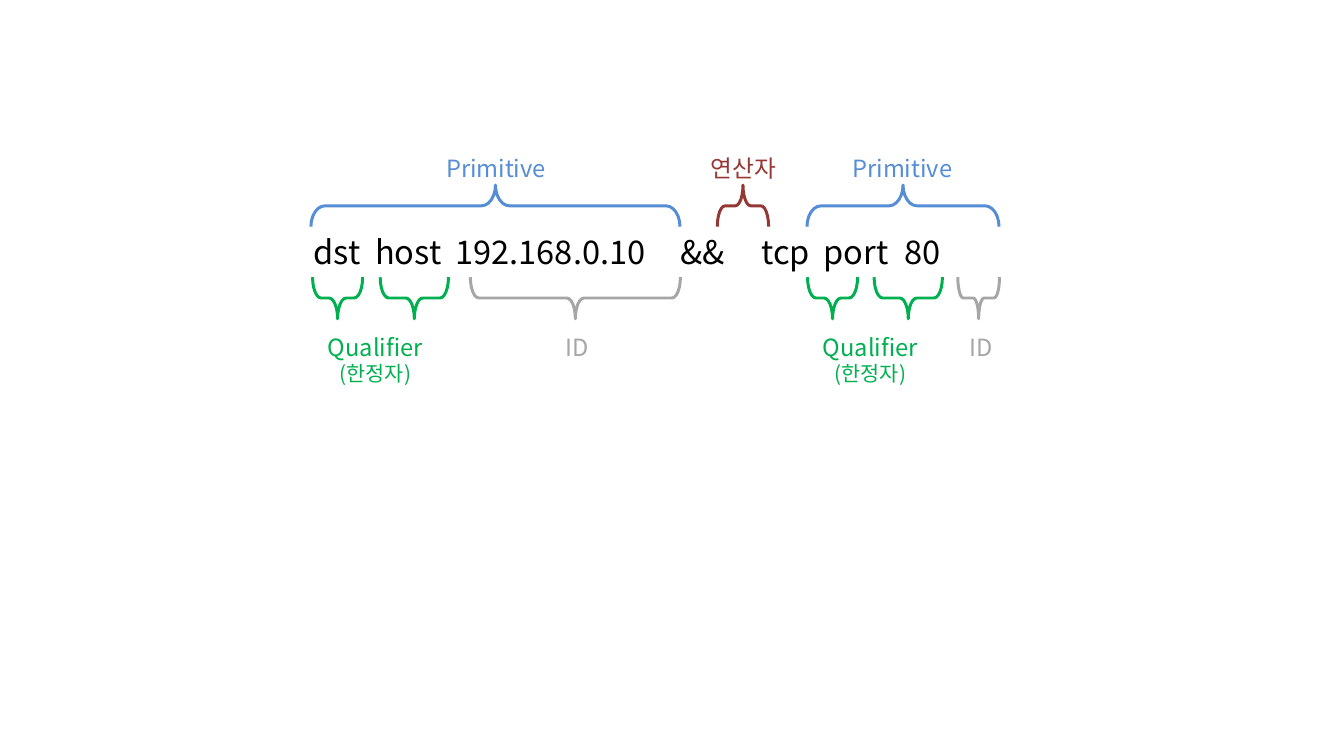
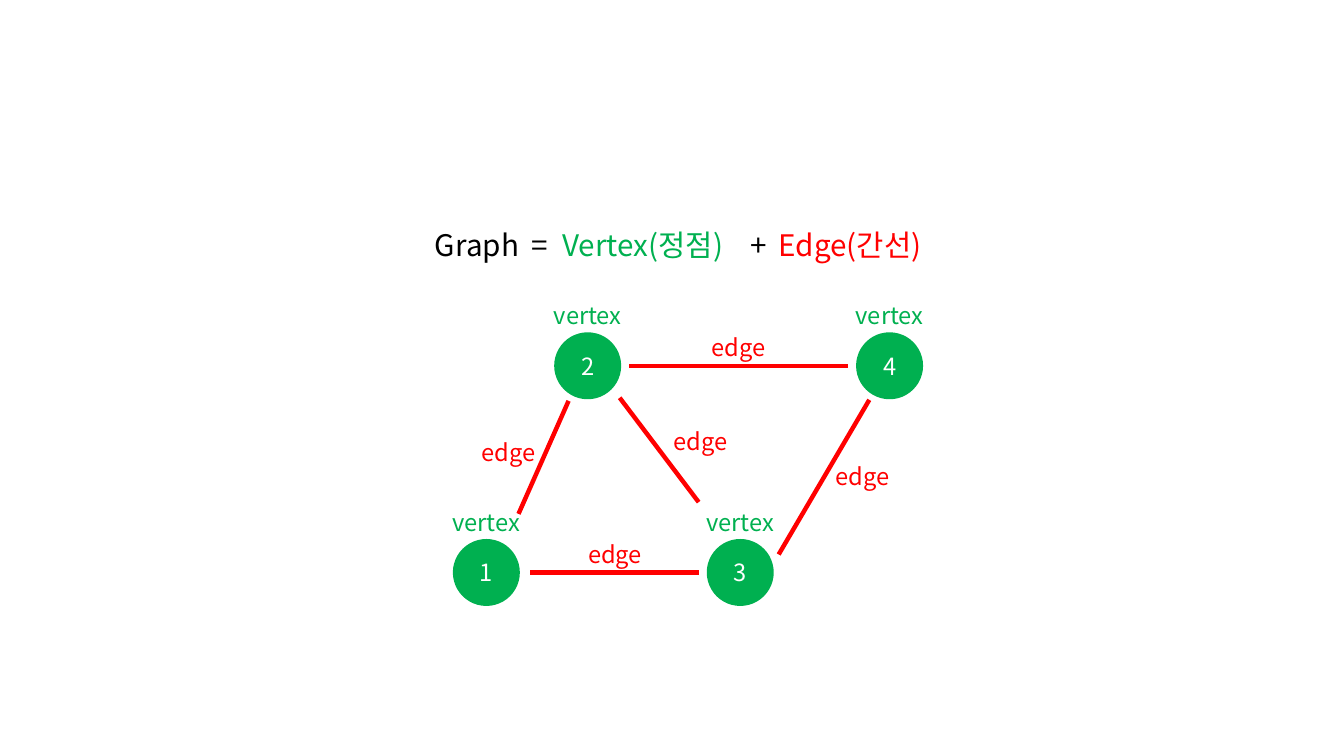
"""Draws a packet filter expression and a graph of vertices and edges."""
from typing import NamedTuple

from lxml import etree
from pptx import Presentation
from pptx.dml.color import RGBColor
from pptx.enum.shapes import MSO_CONNECTOR, MSO_SHAPE
from pptx.enum.text import MSO_ANCHOR, MSO_AUTO_SIZE, PP_ALIGN
from pptx.oxml.ns import qn
from pptx.util import Pt

LEFT_BRACE, ELLIPSE = MSO_SHAPE.LEFT_BRACE, MSO_SHAPE.OVAL
STRAIGHT = MSO_CONNECTOR.STRAIGHT
CENTER, LEFT = PP_ALIGN.CENTER, PP_ALIGN.LEFT
MIDDLE = MSO_ANCHOR.MIDDLE
GROW = MSO_AUTO_SIZE.SHAPE_TO_FIT_TEXT

BLACK = RGBColor(0x00, 0x00, 0x00)
WHITE = RGBColor(0xFF, 0xFF, 0xFF)
BLUE = RGBColor(0x55, 0x8E, 0xD5)
MAROON = RGBColor(0x95, 0x37, 0x35)
GREEN = RGBColor(0x00, 0xB0, 0x50)
GRAY = RGBColor(0xA6, 0xA6, 0xA6)
RED = RGBColor(0xFF, 0x00, 0x00)

FONT = "Noto Sans CJK KR"
SLIDE_SIZE = {"slide_width": Pt(907.2), "slide_height": Pt(510.5)}
LABEL_FORMAT = {"word_wrap": True, "auto_size": GROW}
LABEL_SIZE = 16
LABEL_HEIGHT = 26.6

BRACE_DEPTH = 28.1
BRACE_LABEL_WIDTH = 96.5
VERTEX_DIAMETER = 43.2
GRAPH_LABEL_WIDTH = 68.4
VERTEX_LABEL_RISE = 47.5


class Piece(NamedTuple):
    text: str
    color: RGBColor
    size: float = LABEL_SIZE


class Box(NamedTuple):
    left: float
    top: float
    width: float
    height: float


class BraceRow(NamedTuple):
    rotation: int
    middle: float
    label_top: float


class Span(NamedTuple):
    center: float
    width: float


class Part(NamedTuple):
    row: BraceRow
    label: str
    color: RGBColor
    label_center: float
    curve: float
    spans: tuple[Span, ...]
    label_height: float = LABEL_HEIGHT
    note: str = ""


class Vertex(NamedTuple):
    number: str
    x: float
    y: float


class Edge(NamedTuple):
    start: tuple[float, float]
    end: tuple[float, float]
    label_center: float
    label_top: float


ABOVE = BraceRow(90, 139, 100.1)
BELOW = BraceRow(270, 201.2, 221)

EXPRESSION = (Piece("dst\thost\t192.168.0.10\t&&\ttcp\tport\t80", BLACK, 22),)
EXPRESSION_TABS = (41.6, 96, 248, 302.3, 344.5, 398.7)
PARTS = (
    Part(ABOVE, "Primitive", BLUE, 334.8, 0.336, (Span(334.4, 249.1),), 22.3),
    Part(ABOVE, "Primitive", BLUE, 609.1, 0.336, (Span(609.5, 129.6),), 22.3),
    Part(ABOVE, "연산자", MAROON, 501.8, 0.184, (Span(501.5, 34.6),)),
    Part(BELOW, "Qualifier", GREEN, 253.4, 0.204,
         (Span(227.9, 33.8), Span(279.7, 46.1)), 44, "(한정자)"),
    Part(BELOW, "Qualifier", GREEN, 587.5, 0.204,
         (Span(562, 33.8), Span(613.1, 46.1)), 44, "(한정자)"),
    Part(BELOW, "ID", GRAY, 389.5, 0.204, (Span(388.4, 141.8),)),
    Part(BELOW, "ID", GRAY, 662.4, 0.131, (Span(660.6, 28.1),)),
)

EQUATION = (
    Piece("Graph\t=\t", BLACK, 20),
    Piece("Vertex(정점)\t", GREEN, 20),
    Piece("+\t", BLACK, 20),
    Piece("Edge(간선)", RED, 20),
)
EQUATION_TABS = (65.5, 86, 213, 232)
EQUATION_INSET = 21.4
VERTICES = (
    Vertex("2", 396.7, 247),
    Vertex("1", 328.3, 386.6),
    Vertex("3", 499.7, 386.6),
    Vertex("4", 600.5, 247),
)
EDGES = (
    Edge((383.8, 270.7), (350, 347), 343.1, 292.3),
    Edge((572.4, 247), (424.8, 247), 498.6, 221),
    Edge((471.6, 386.6), (357.8, 386.6), 415.1, 360.7),
    Edge((586.8, 270), (525.6, 374.4), 582.1, 308.2),
    Edge((418.3, 268.6), (471.6, 339.1), 472.7, 284.4),
)


def apply_format(target, values: dict) -> None:
    for name, value in values.items():
        setattr(target, name, value)


def write_paragraph(paragraph, pieces, align=CENTER, tabs=()) -> None:
    if tabs:
        tab_list = etree.SubElement(paragraph._p.get_or_add_pPr(), qn("a:tabLst"))
        for position in tabs:
            etree.SubElement(tab_list, qn("a:tab"), pos=str(int(Pt(position))), algn="l")
    paragraph.alignment = align
    for piece in pieces:
        run = paragraph.add_run()
        run.text = piece.text
        apply_format(run.font, {"name": FONT, "size": Pt(piece.size)})
        run.font.color.rgb = piece.color
        etree.SubElement(run.font._element, qn("a:ea"), typeface=FONT)


def add_text(slide, box: Box, lines, align=CENTER, tabs=()):
    frame = slide.shapes.add_textbox(*map(Pt, box)).text_frame
    apply_format(frame, LABEL_FORMAT)
    for index, pieces in enumerate(lines):
        paragraph = frame.add_paragraph() if index else frame.paragraphs[0]
        write_paragraph(paragraph, pieces, align, tabs)
    return frame


def add_label(slide, center: float, top: float, width: float, *pieces: Piece,
              height: float = LABEL_HEIGHT) -> None:
    box = Box(center - width / 2, top, width, height)
    add_text(slide, box, [(piece,) for piece in pieces])


def add_outlined(slide, preset, center: tuple[float, float], width: float,
                 height: float, color: RGBColor):
    x, y = center
    shape = slide.shapes.add_shape(
        preset, Pt(x - width / 2), Pt(y - height / 2), Pt(width), Pt(height))
    shape.shadow.inherit = False
    shape.line.color.rgb = color
    shape.line.width = Pt(2)
    return shape


def draw_part(slide, part: Part) -> None:
    for span in part.spans:
        brace = add_outlined(slide, LEFT_BRACE, (span.center, part.row.middle),
                             BRACE_DEPTH, span.width, part.color)
        brace.fill.background()
        brace.rotation = part.row.rotation
        brace.adjustments[0] = part.curve
    pieces = [Piece(part.label, part.color)]
    if part.note:
        pieces.append(Piece(part.note, part.color, 14))
    add_label(slide, part.label_center, part.row.label_top, BRACE_LABEL_WIDTH,
              *pieces, height=part.label_height)


def draw_vertex(slide, vertex: Vertex) -> None:
    circle = add_outlined(slide, ELLIPSE, (vertex.x, vertex.y),
                          VERTEX_DIAMETER, VERTEX_DIAMETER, GREEN)
    circle.fill.solid()
    circle.fill.fore_color.rgb = GREEN
    circle.text_frame.vertical_anchor = MIDDLE
    write_paragraph(circle.text_frame.paragraphs[0], (Piece(vertex.number, WHITE),))
    add_label(slide, vertex.x, vertex.y - VERTEX_LABEL_RISE, GRAPH_LABEL_WIDTH,
              Piece("vertex", GREEN))


def draw_edge(slide, edge: Edge) -> None:
    link = slide.shapes.add_connector(STRAIGHT, *map(Pt, edge.start + edge.end))
    link.line.color.rgb = RED
    link.line.width = Pt(3)
    etree.SubElement(link._element.spPr, qn("a:effectLst"))
    add_label(slide, edge.label_center, edge.label_top, GRAPH_LABEL_WIDTH,
              Piece("edge", RED))


def build_filter_slide(slide) -> None:
    add_text(slide, Box(204.5, 153.4, 527, 33.8), (EXPRESSION,), LEFT, EXPRESSION_TABS)
    for part in PARTS:
        draw_part(slide, part)


def build_graph_slide(slide) -> None:
    equation = add_text(slide, Box(272.2, 137.5, 383.8, 43.9), (EQUATION,),
                        LEFT, EQUATION_TABS)
    equation.margin_left = Pt(EQUATION_INSET)
    equation.paragraphs[0].line_spacing = 1.5
    for vertex in VERTICES:
        draw_vertex(slide, vertex)
    for edge in EDGES:
        draw_edge(slide, edge)


def main() -> None:
    deck = Presentation()
    apply_format(deck, SLIDE_SIZE)
    blank = deck.slide_layouts[6]
    for build in (build_filter_slide, build_graph_slide):
        build(deck.slides.add_slide(blank))
    deck.save("out.pptx")


if __name__ == "__main__":
    main()
